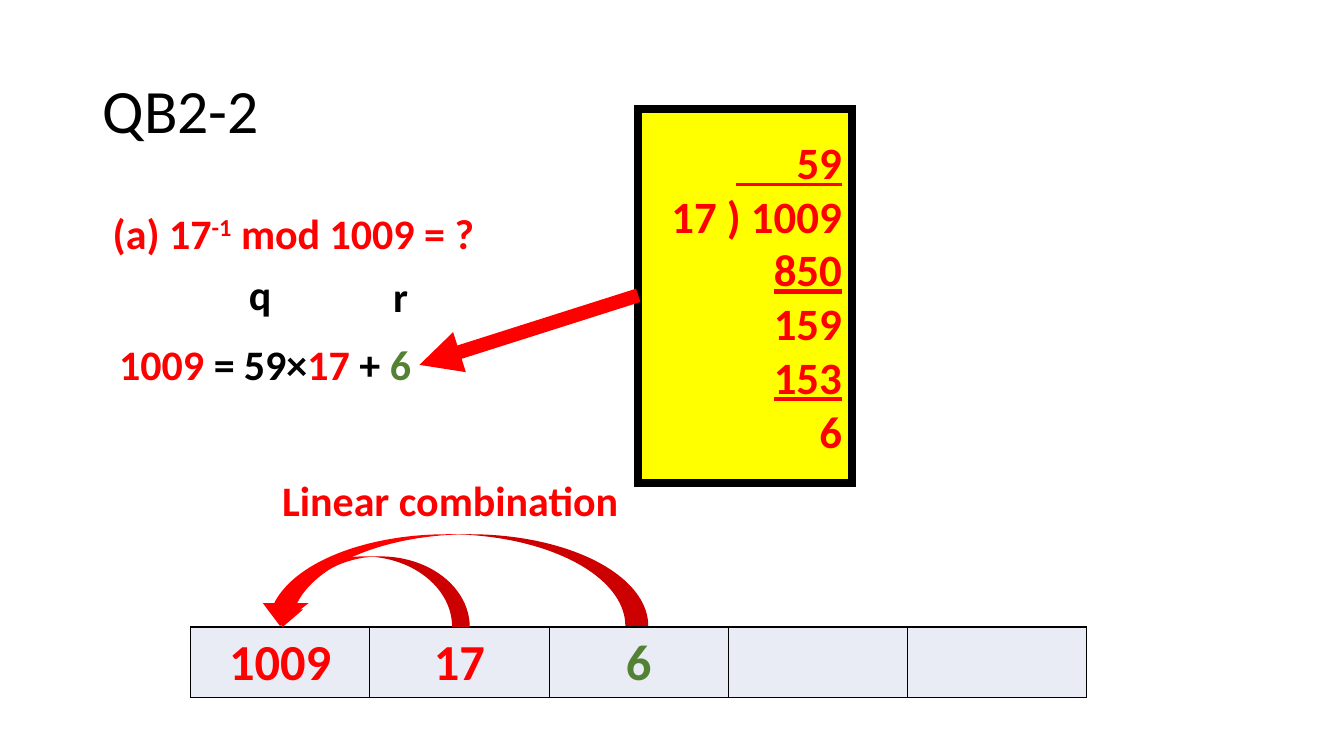
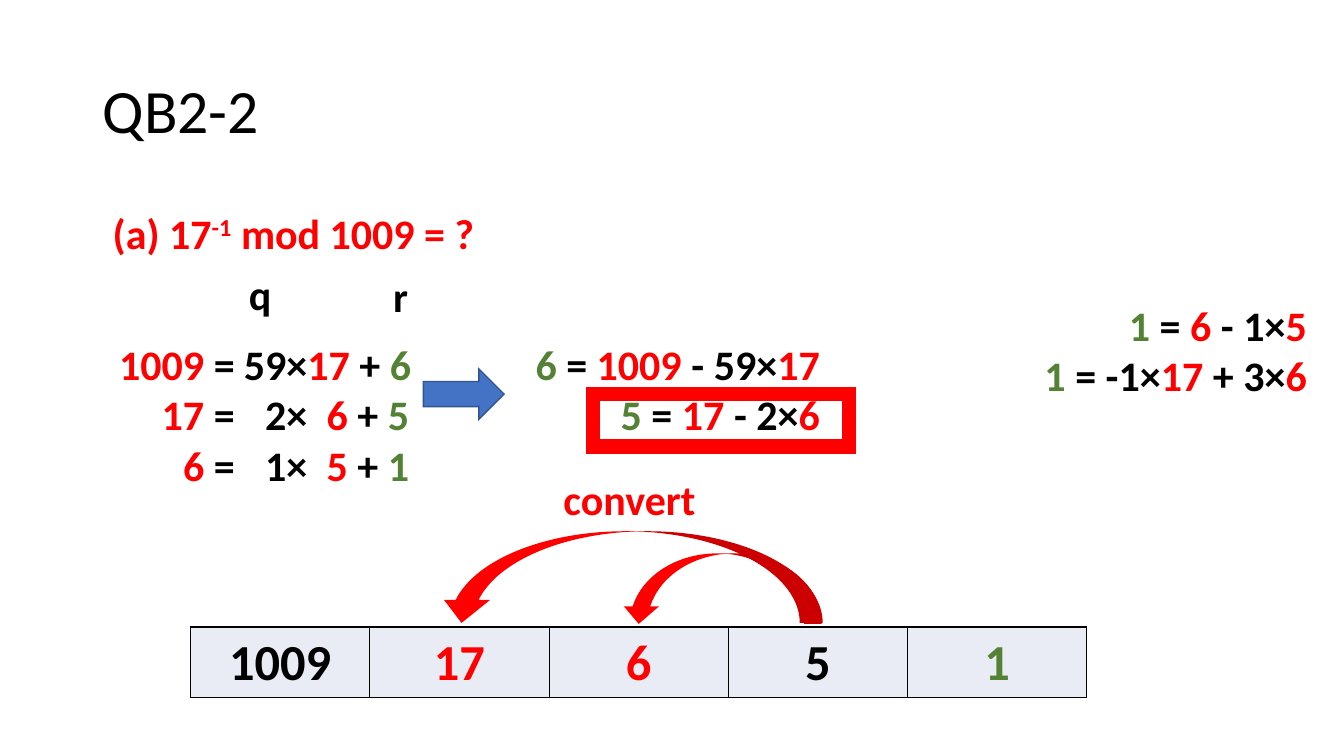
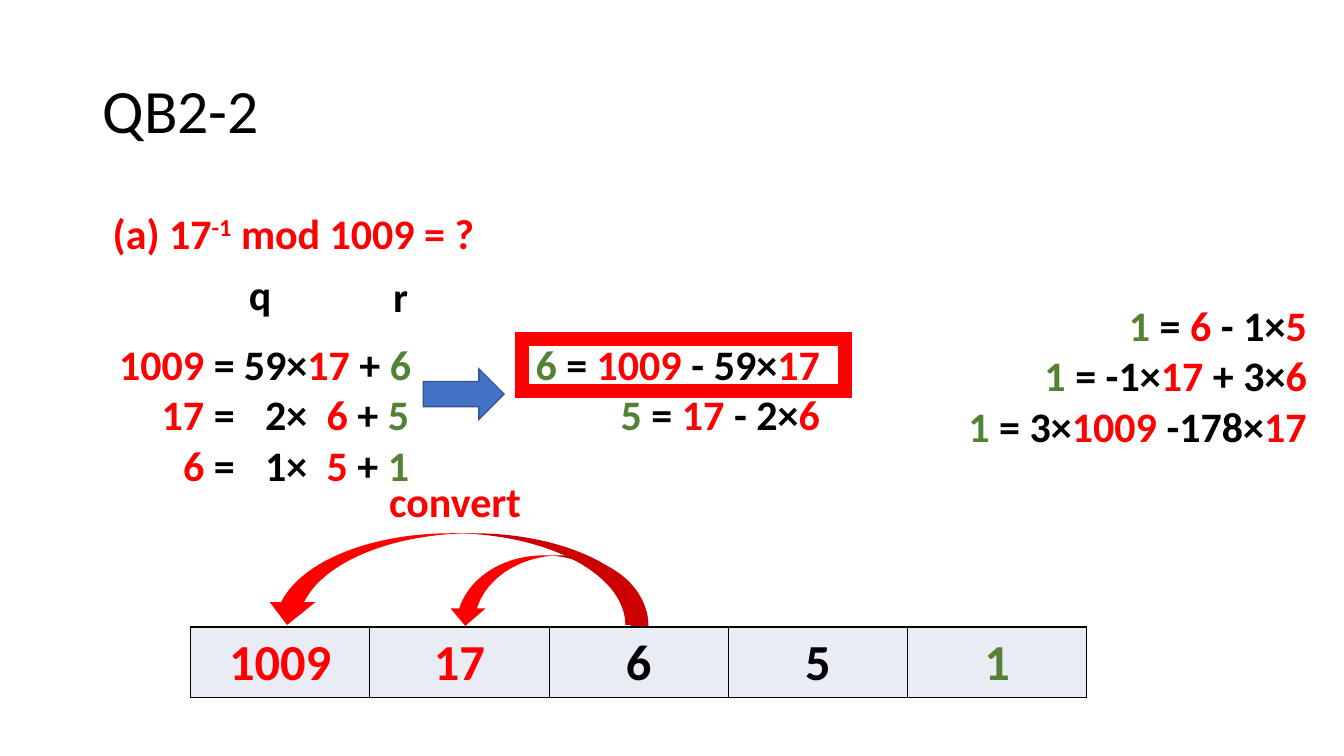
"""Build three slides that work out a modular inverse with Euclid's algorithm."""
from lxml import etree
from pptx import Presentation
from pptx.dml.color import RGBColor
from pptx.enum import shapes, text
from pptx.oxml.ns import qn
from pptx.util import Inches, Pt

FONT = "Calibri"
COLORS = {
    "ink": "000000", "red": "FF0000", "green": "548235", "yellow": "FFFF00",
    "blue": "4472C4", "navy": "325491", "cell": "E9EBF5",
}
DIVISIONS = [(1009, 59, 17, 6), (17, 2, 6, 5), (6, 1, 5, 1)]
DIVISION_TABS = (1.41, 2.13, 3.14)
REMAINDERS = [
    [("6", "green"), (" = ", "ink"), ("1009", "red"), (" - 59×", "ink"), ("17", "red")],
    [("5", "green"), (" = ", "ink"), ("17", "red"), (" - 2×", "ink"), ("6", "red")],
]
COMBINATIONS = [
    [("1", "green"), (" = ", "ink"), ("6", "red"), (" - 1×", "ink"), ("5", "red")],
    [("1 ", "green"), ("= -1×", "ink"), ("17", "red"), (" + 3×", "ink"), ("6", "red")],
    [("1 ", "green"), ("= 3×", "ink"), ("1009 ", "red"), ("-178×", "ink"), ("17", "red")],
]
RIGHT = text.PP_ALIGN.RIGHT


def rgb(name):
    """Return a palette colour."""
    return RGBColor.from_string(COLORS[name])


def add_run(paragraph, words, color, size=30, bold=True):
    """Append one formatted run and return it."""
    run = paragraph.add_run()
    run.text = words
    run.font.name, run.font.size, run.font.bold = FONT, Pt(size), bold
    run.font.color.rgb = rgb(color)
    return run


def paragraphs(frame, count):
    """Return the given number of paragraphs of an empty text frame."""
    return [frame.paragraphs[0]] + [frame.add_paragraph() for _ in range(count - 1)]


def add_text(slide, box, lines, align=None, wrap=False):
    """Add a text box whose lines are lists of (words, colour)."""
    frame = slide.shapes.add_textbox(*map(Inches, box)).text_frame
    frame.word_wrap = wrap
    for paragraph, runs in zip(paragraphs(frame, len(lines)), lines):
        paragraph.alignment = align
        for words, color in runs:
            add_run(paragraph, words, color)
    return frame


def add_figure(slide, kind, box, fill=None, line=None, width=1):
    """Add a preset shape with sharp corners and optional fill and line."""
    figure = slide.shapes.add_shape(kind, *map(Inches, box))
    figure.shadow.inherit = False
    if fill:
        figure.fill.solid()
        figure.fill.fore_color.rgb = rgb(fill)
    else:
        figure.fill.background()
    if line:
        figure.line.color.rgb = rgb(line)
        figure.line.width = Pt(width)
        etree.SubElement(figure.element.spPr.find(qn("a:ln")), qn("a:miter"), lim="800000")
    else:
        figure.line.fill.background()
    return figure


def add_line(slide, start, end, width, arrow=False):
    """Add a red straight line, with an arrowhead if asked."""
    ends = map(Inches, start + end)
    stroke = slide.shapes.add_connector(shapes.MSO_CONNECTOR.STRAIGHT, *ends)
    stroke.line.color.rgb = rgb("red")
    stroke.line.width = Pt(width)
    properties = stroke.element.spPr
    if arrow:
        etree.SubElement(properties.find(qn("a:ln")), qn("a:tailEnd"), type="triangle")
    etree.SubElement(properties, qn("a:effectLst"))


def add_arcs(slide, *boxes):
    """Add curved arrows that point back to earlier numbers."""
    for box in boxes:
        arc = add_figure(slide, shapes.MSO_SHAPE.CURVED_DOWN_ARROW, box, "red")
        arc.element.spPr.find(qn("a:xfrm")).set("flipH", "1")


def add_sequence(slide, numbers):
    """Add the five-cell table of (number, colour) remainders."""
    box = map(Inches, (1.89, 6.22, 8.89, 0.7))
    table = slide.shapes.add_table(1, 5, *box).table
    table.first_row = table.horz_banding = False
    for cell in table.iter_cells():
        for side in "LRTB":
            border = etree.SubElement(
                cell._tc.get_or_add_tcPr(), qn(f"a:ln{side}"), w=str(Pt(1)))
            fill = etree.SubElement(border, qn("a:solidFill"))
            etree.SubElement(fill, qn("a:srgbClr"), val=COLORS["ink"])
        cell.fill.solid()
        cell.fill.fore_color.rgb = rgb("cell")
    for cell, (number, color) in zip(table.iter_cells(), numbers):
        paragraph = cell.text_frame.paragraphs[0]
        paragraph.alignment = text.PP_ALIGN.CENTER
        add_run(paragraph, number, color, 36)


def add_divisions(slide, steps):
    """Add the division steps, set in columns by right tabs."""
    lines = [[(f"\t{dividend}", "red"), (f" =\t{quotient}×\t", "ink"), (str(divisor), "red"),
              (" + ", "ink"), (str(remainder), "green")]
             for dividend, quotient, divisor, remainder in steps]
    frame = add_text(slide, (0.82, 3.31, 3.64, 0.11 + 0.5 * len(steps)), lines, wrap=True)
    for paragraph in frame.paragraphs:
        stops = etree.SubElement(paragraph._p.get_or_add_pPr(), qn("a:tabLst"))
        for stop in DIVISION_TABS:
            etree.SubElement(stops, qn("a:tab"), pos=str(Inches(stop)), algn="r")


def add_long_division(slide):
    """Add the yellow panel with the written division."""
    panel = add_figure(slide, shapes.MSO_SHAPE.RECTANGLE, (6.33, 1.08, 2.12, 3.71),
                       "yellow", "ink", 6)
    frame = panel.text_frame
    frame.vertical_anchor = text.MSO_ANCHOR.MIDDLE
    rows = ["59", "17 ) 1009", "850", "159", "153", "6"]
    for paragraph, row in zip(paragraphs(frame, len(rows)), rows):
        paragraph.alignment = RIGHT
        add_run(paragraph, row, "red", 32).font.underline = row in ("850", "153")
    add_line(slide, (7.3, 1.83), (8.35, 1.83), 2.5)


def add_question(prs, steps, numbers):
    """Add a slide with the title, the question, its divisions and the table."""
    slide = prs.slides.add_slide(prs.slide_layouts[5])
    title = slide.shapes.title
    title.left, title.top, title.width, title.height = map(Inches, (0.92, 0.4, 11.5, 1.45))
    title.text_frame.vertical_anchor = text.MSO_ANCHOR.MIDDLE
    heading = title.text_frame.paragraphs[0]
    heading.alignment, heading.line_spacing = text.PP_ALIGN.LEFT, 0.9
    add_run(heading, "QB2-2", "ink", 44, False)
    question = add_text(slide, (1.02, 2.01, 3.86, 0.61),
                        [[("(a) 17", "red"), ("-1", "red"), (" mod 1009 = ?", "red")]])
    exponent = question.paragraphs[0].runs[1]
    exponent._r.get_or_add_rPr().set("baseline", "30000")
    add_text(slide, (2.37, 2.61, 0.43, 0.61), [[("q", "ink")]])
    add_text(slide, (3.8, 2.63, 0.35, 0.61), [[("r", "ink")]])
    add_divisions(slide, steps)
    add_sequence(slide, numbers)
    return slide


def add_conversion(prs, numbers, combinations, left, label, arcs, highlight):
    """Add a slide that substitutes one remainder into the combination."""
    slide = add_question(prs, DIVISIONS, numbers)
    add_text(slide, (5.18, 3.31, 3.05, 1.11), REMAINDERS, RIGHT)
    add_text(slide, (left, 2.92, 13.06 - left, 0.11 + 0.5 * len(combinations)),
             combinations, RIGHT)
    add_figure(slide, shapes.MSO_SHAPE.RIGHT_ARROW, (4.2, 3.66, 0.8, 0.5), "blue", "navy")
    add_arcs(slide, *arcs)
    add_text(slide, label, [[("convert", "red")]])
    add_figure(slide, shapes.MSO_SHAPE.RECTANGLE, highlight, line="red", width=10)


def main():
    """Build and save the presentation."""
    prs = Presentation()
    prs.slide_width, prs.slide_height = Inches(13.33), Inches(7.5)

    first = add_question(prs, DIVISIONS[:1], [("1009", "red"), ("17", "red"), ("6", "green")])
    add_long_division(first)
    add_line(first, (6.33, 2.93), (4.16, 3.62), 10, arrow=True)
    add_arcs(first, (2.55, 5.3, 3.88, 0.91), (2.63, 5.52, 2.03, 0.7))
    add_text(first, (2.7, 4.66, 3.57, 0.61), [[("Linear combination", "red")]])

    add_conversion(
        prs,
        [("1009", "ink"), ("17", "red"), ("6", "red"), ("5", "ink"), ("1", "green")],
        COMBINATIONS[:2], 10.23, (5.49, 4.65, 1.52, 0.61),
        [(4.35, 5.27, 3.81, 0.91), (6.16, 5.49, 1.99, 0.7)], (5.88, 3.91, 2.54, 0.52))
    add_conversion(
        prs,
        [("1009", "red"), ("17", "red"), ("6", "ink"), ("5", "ink"), ("1", "green")],
        COMBINATIONS, 9.33, (3.76, 4.67, 1.52, 0.61),
        [(2.62, 5.29, 3.81, 0.91), (4.44, 5.51, 1.99, 0.7)], (5.18, 3.36, 3.2, 0.52))
    prs.save("out.pptx")


if __name__ == "__main__":
    main()
